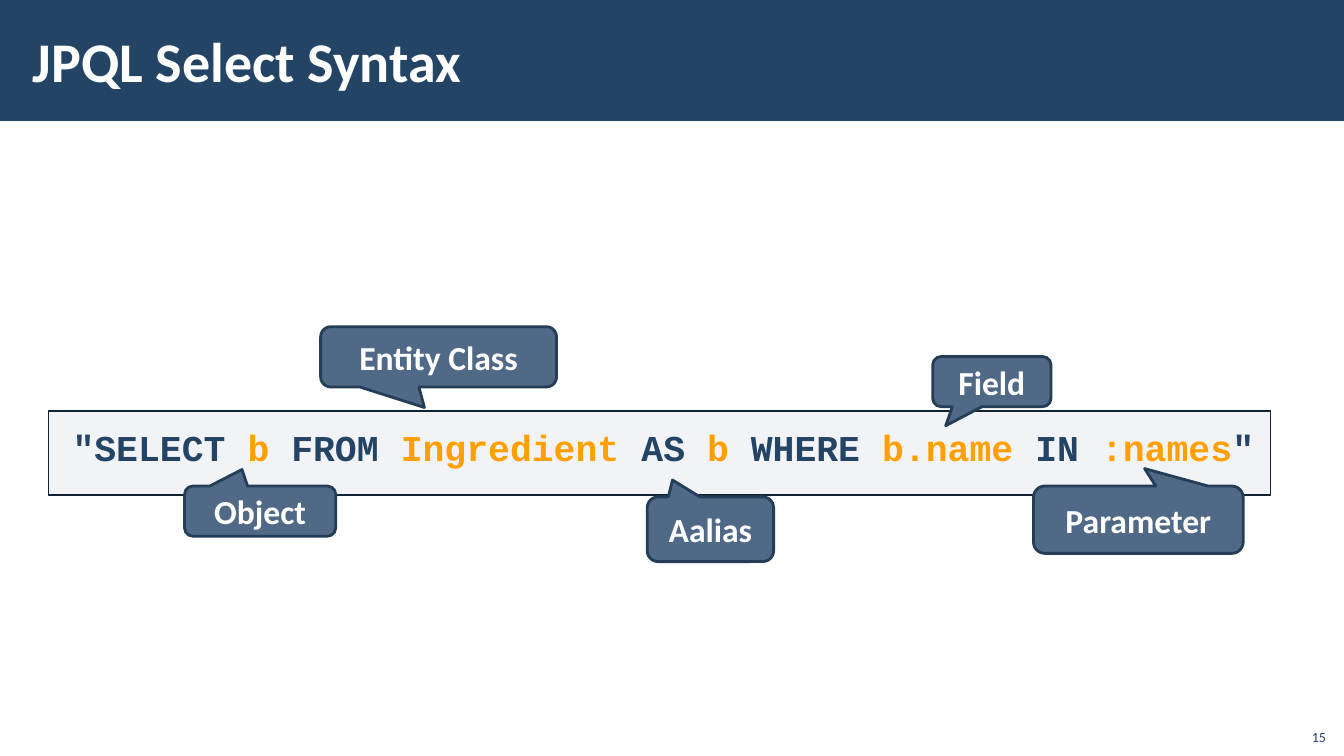
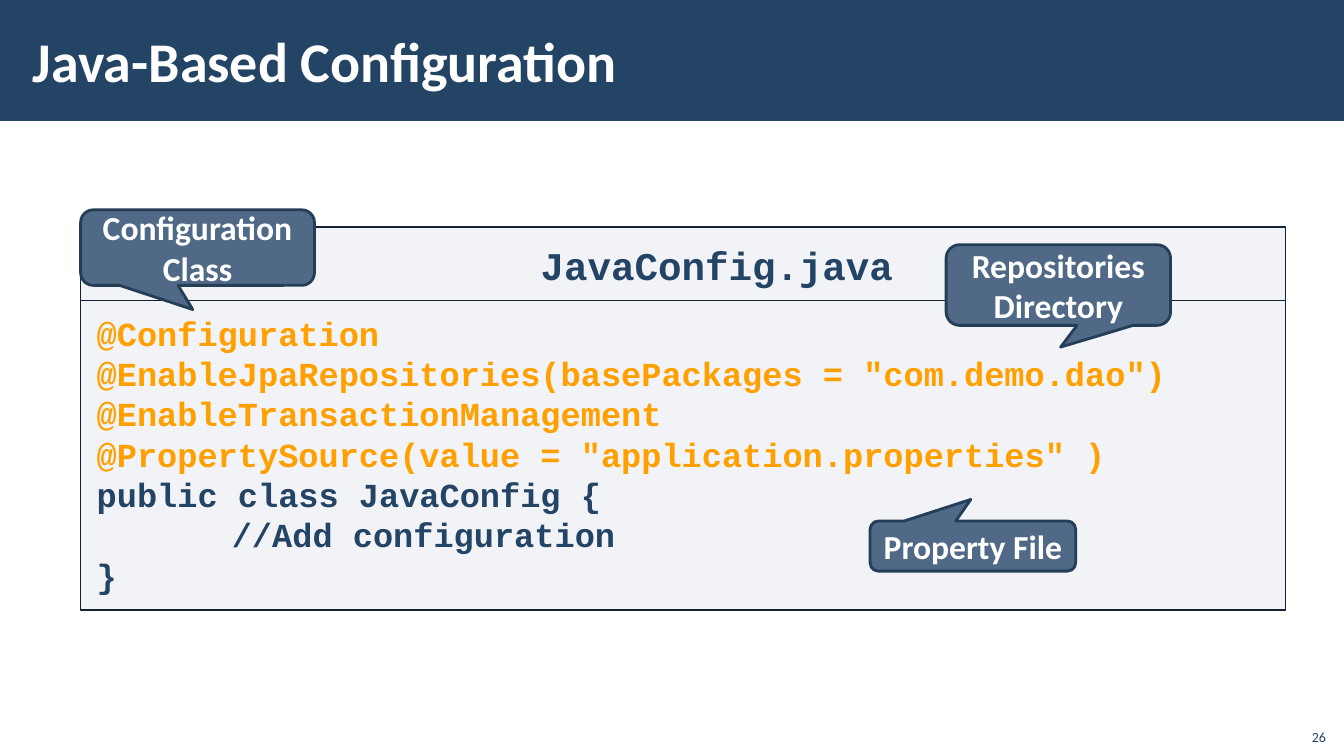
from collections import namedtuple
from lxml import etree
from pptx import Presentation
from pptx.dml.color import RGBColor
from pptx.enum.shapes import MSO_SHAPE as Shape
from pptx.enum.text import MSO_ANCHOR as Anchor, PP_ALIGN as Align
from pptx.oxml.ns import qn
from pptx.util import Inches, Pt

Box = namedtuple("Box", "x y w h")
PAGE = Box(0, 0, Inches(13.33), Inches(7.5))
NAVY, AMBER, WHITE = "234465", "FFA000", "FFFFFF"
PANEL, EDGE, NOTE, RIM = "ADB4C3", "112233", "4F6987", "253E57"

HEAD = {"name": "Calibri", "size": Pt(40), "bold": True}
LABEL = {"name": "Calibri", "size": Pt(24), "bold": True}
FOOT = {"name": "Calibri", "size": Pt(10)}
CODE = {"name": "Courier New", "size": Pt(24), "bold": True}
QUERY = {**CODE, "size": Pt(26)}
FILE = {**CODE, "size": Pt(28)}

MID = {"vertical_anchor": Anchor.MIDDLE}
LOW = {"vertical_anchor": Anchor.BOTTOM}
PAD = {"margin_left": Inches(0.16), "margin_right": Inches(0.1),
       "margin_top": Inches(0.12), "margin_bottom": Inches(0.12),
       "vertical_anchor": Anchor.TOP}
LEFT, MIDST, RIGHT = ({"alignment": a} for a in (Align.LEFT, Align.CENTER, Align.RIGHT))
SPACED = {"line_spacing": 1.05, "space_before": Pt(6), "space_after": Pt(6)}


def color(code):
    """Turn a hex string into a colour."""
    return RGBColor.from_string(code)


def apply(item, values):
    """Set each attribute named in a dict of format values."""
    for key, value in values.items():
        setattr(item, key, value)


def part(box, x, y, w, h):
    """Return the part of a box given by percent shares."""
    return Box(*(round(v) for v in (box.x + box.w * x / 100, box.y + box.h * y / 100,
                                    box.w * w / 100, box.h * h / 100)))


def write(shape, lines, font, para, frame, tones=(NAVY, AMBER), indents=None):
    """Write lines whose runs, split by a bar, alternate between tones."""
    body = shape.text_frame
    apply(body, {"word_wrap": True, **frame})
    for n, line in enumerate(lines):
        row = body.add_paragraph() if n else body.paragraphs[0]
        apply(row, para)
        indent = (indents or {}).get(n, 0)
        row._p.get_or_add_pPr().set("marL", str(Inches(indent)))
        for k, word in enumerate(line.split("|")):
            if word:
                run = row.add_run()
                run.text = word
                apply(run.font, font)
                run.font.color.rgb = color(tones[k % len(tones)])


def draw(slide, kind, box, fill, rim=None, width=1):
    """Draw a flat shape with an optional outline."""
    shape = slide.shapes.add_shape(kind, *box)
    shape.shadow.inherit = False
    shape.fill.solid()
    shape.fill.fore_color.rgb = color(fill)
    if rim:
        shape.line.color.rgb = color(rim)
        shape.line.width = Pt(width)
    else:
        shape.line.fill.background()
    return shape


def panel(slide, box):
    """Draw an outlined code panel with a faint fill."""
    shape = draw(slide, Shape.RECTANGLE, box, PANEL, EDGE)
    tone = shape.fill._xPr.find(qn("a:solidFill"))[0]
    etree.SubElement(tone, qn("a:alpha")).set("val", "15000")
    return shape


def notes(slide, box, items):
    """Place callouts, each with its lines, shares and tip."""
    for lines, shares, tip in items:
        shape = draw(slide, Shape.ROUNDED_RECTANGULAR_CALLOUT,
                     part(box, *shares), NOTE, RIM, 2)
        for n, value in enumerate(tip):
            shape.adjustments[n] = value
        write(shape, lines, LABEL, MIDST, MID, (WHITE,))


def start(deck, title, number):
    """Add a slide with band, title and number, and return its body."""
    slide = deck.slides.add_slide(deck.slide_layouts[6])
    draw(slide, Shape.RECTANGLE, part(PAGE, 0, 0, 100, 16), NAVY)
    head = slide.shapes.add_textbox(*part(PAGE, 1.55, 1.5, 79.7, 13))
    write(head, [title], HEAD, LEFT, {**MID, "margin_left": Inches(0.12)}, (WHITE,))
    foot = slide.shapes.add_textbox(*part(PAGE, 96.4, 94.9, 3, 4.3))
    write(foot, [str(number)], FOOT, RIGHT, LOW)
    return slide, part(PAGE, 0, 16, 100, 84)


def syntax(slide, box):
    """Show a query with its parts named."""
    shape = panel(slide, part(box, 3.6, 45.7, 90.95, 13.2))
    line = '"SELECT |b| FROM |Ingredient| AS |b| WHERE |b.name| IN |:names|"'
    write(shape, [line], QUERY, {**SPACED, **LEFT}, PAD, indents={0: 0.08})
    notes(slide, box, [
        (["Entity Class"], (23.86, 32.4, 17.55, 9.5), (-0.06, 0.84)),
        (["Aalias"], (48.16, 59.2, 9.4, 10.2), (-0.3, -0.76)),
        (["Object"], (13.73, 57.5, 11.25, 7.9), (-0.12, -0.83)),
        (["Field"], (69.4, 37.1, 8.8, 7.9), (-0.39, 0.88)),
        (["Parameter"], (76.9, 57.5, 15.6, 10.6), (0.03, -0.76)),
    ])


def config(slide, box):
    """Show a class file under its name, with callouts."""
    area = part(box, 6, 16.7, 89.65, 60.3)
    write(panel(slide, part(area, 0, 19.2, 100, 80.8)), [
        "|@Configuration",
        '|@EnableJpaRepositories(basePackages = "com.demo.dao")',
        "|@EnableTransactionManagement",
        '|@PropertySource(value = "application.properties" )',
        "public class JavaConfig {",
        "//Add configuration",
        "}",
    ], CODE, LEFT, PAD, indents={5: 1.34})
    write(panel(slide, part(area, 0, 0, 100, 19.2)), ["JavaConfig.java"],
          FILE, {**SPACED, **MIDST}, PAD, indents={0: 0.61})
    notes(slide, box, [
        (["Configuration", "Class"], (6, 14, 17.4, 11.9), (-0.02, 0.82)),
        (["Repositories", "Directory"], (70.4, 19.5, 16.7, 12.7), (0.01, 0.77)),
        (["Property File"], (64.74, 63, 15.3, 7.9), (-0.01, -0.93)),
    ])


def main():
    """Build and save the deck."""
    deck = Presentation()
    apply(deck, {"slide_width": PAGE.w, "slide_height": PAGE.h})
    for title, number, fill in (("JPQL Select Syntax", 15, syntax),
                                ("Java-Based Configuration", 26, config)):
        fill(*start(deck, title, number))
    deck.save("out.pptx")


if __name__ == "__main__":
    main()
